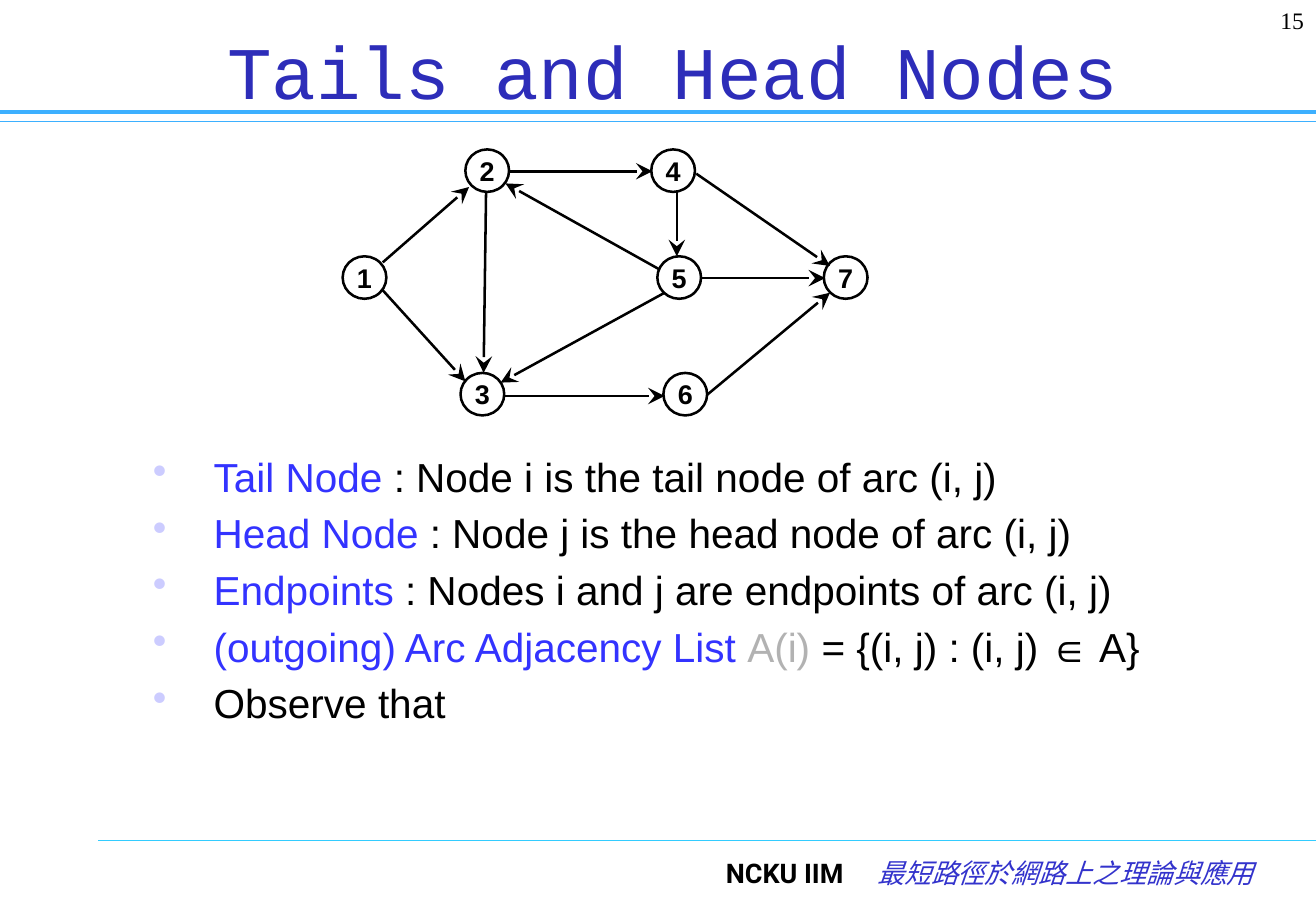
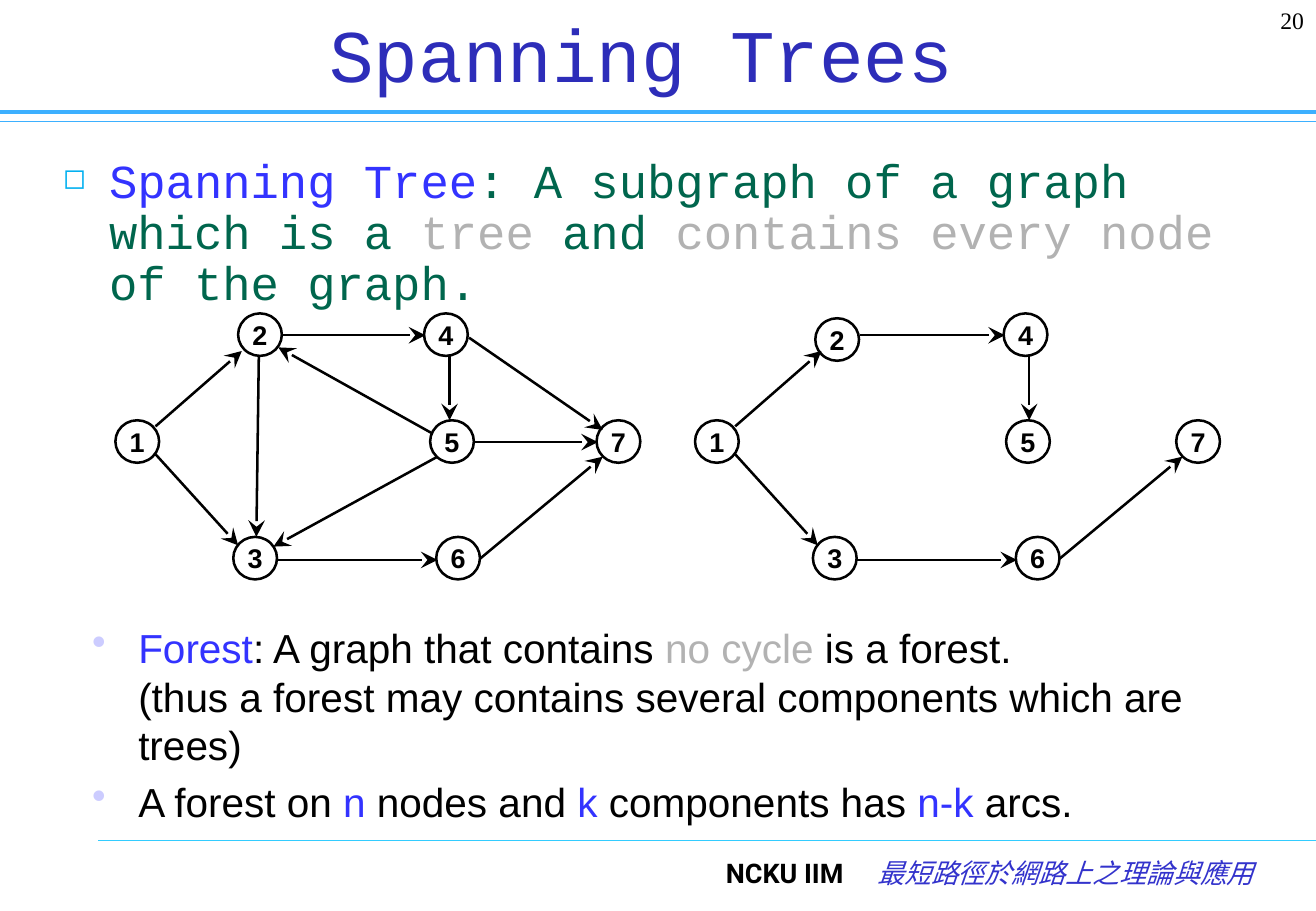
from lxml.etree import SubElement
from pptx import Presentation
from pptx.dml.color import RGBColor
from pptx.enum.shapes import MSO_CONNECTOR, MSO_SHAPE
from pptx.enum.text import MSO_ANCHOR, PP_ALIGN
from pptx.oxml.ns import qn
from pptx.util import Pt

PX = 9144  # EMU, 100 px to the inch
PAGE_WIDTH, PAGE_HEIGHT = 1083, 750
COLORS = {
    "title": "2D2DB9", "band": "3DB0FF", "footer_rule": "33CCFF",
    "footer": "3333CC", "term": "3333FF", "muted": "B2B2B2",
    "green": "00664D", "black": "000000", "white": "FFFFFF",
    "dot": "CCCCFF", "square": "00B0F0",
}
NODE_WIDTH, NODE_HEIGHT = 36, 35
# Top left corner of each node, relative to the graph
NODES = {1: (0, 88), 2: (101, 0), 3: (97, 184), 4: (254, 0),
         5: (259, 88), 6: (264, 184), 7: (396, 88)}
# Start and end point of each arc, relative to the graph
ARCS = {
    (1, 2): (33, 93, 104, 31), (1, 3): (33, 116, 101, 191),
    (2, 3): (118, 35, 116, 184), (2, 4): (136, 18, 255, 18),
    (3, 6): (133, 203, 265, 203), (6, 7): (300, 202, 401, 118),
    (5, 7): (294, 106, 397, 106), (4, 7): (291, 20, 401, 96),
    (4, 5): (275, 35, 275, 88), (5, 2): (261, 99, 134, 28),
    (5, 3): (265, 118, 130, 192),
}
TREE_ARCS = [(1, 2), (1, 3), (2, 4), (3, 6), (6, 7), (4, 5)]
TREE_NODES = {**NODES, 2: (99, 4), 5: (256, 88)}


def rgb(name):
    return RGBColor.from_string(COLORS[name])


def set_font(paragraph, name, size, color="black", bold=False, italic=False):
    font = paragraph.font
    font.name, font.size = name, Pt(size)
    font.bold, font.italic = bold, italic
    font.color.rgb = rgb(color)


def add_box(page, left, top, width, height):
    box = page.shapes.add_textbox(left * PX, top * PX, width * PX, height * PX)
    frame = box.text_frame
    frame.word_wrap = True
    frame.margin_left = frame.margin_right = 10 * PX
    frame.margin_top = frame.margin_bottom = 5 * PX
    return frame


def add_label(page, box, text, align, font, anchor=MSO_ANCHOR.TOP):
    """Place one line of text; font holds the arguments of set_font."""
    frame = add_box(page, *box)
    frame.vertical_anchor = anchor
    paragraph = frame.paragraphs[0]
    paragraph.text, paragraph.alignment = text, align
    set_font(paragraph, *font)


def add_line(shapes, start, end, color, width, arrow=False):
    line = shapes.add_connector(MSO_CONNECTOR.STRAIGHT,
                                *(value * PX for value in (*start, *end)))
    line.line.color.rgb = rgb(color)
    line.line.width = Pt(width)
    properties = line.element.spPr
    if arrow:
        SubElement(properties.find(qn("a:ln")), qn("a:tailEnd"),
                   type="stealth", w="lg", len="lg")
    SubElement(properties, qn("a:effectLst"))


def add_bullet(paragraph, char, color, indent, percent=100):
    properties = paragraph._p.get_or_add_pPr()
    properties.set("marL", str(indent * PX))
    properties.set("indent", str(-indent * PX))
    SubElement(SubElement(properties, qn("a:buClr")), qn("a:srgbClr"),
               val=COLORS[color])
    SubElement(properties, qn("a:buSzPct"), val=str(percent * 1000))
    SubElement(properties, qn("a:buChar"), char=char)


def add_spans(paragraph, spans):
    """Add (text, color) spans; a line feed in a text breaks the line."""
    for text, color in spans:
        for index, part in enumerate(text.split("\n")):
            if index:
                paragraph.add_line_break()
            span = paragraph.add_run()
            span.text = part
            span.font.color.rgb = rgb(color)


def add_bullet_list(page, box, items, indent):
    frame = add_box(page, *box)
    for index, spans in enumerate(items):
        paragraph = frame.add_paragraph() if index else frame.paragraphs[0]
        add_bullet(paragraph, "•", "dot", indent)
        if index:
            paragraph.space_before = Pt(4.8)
        set_font(paragraph, "Arial", 24)
        add_spans(paragraph, spans)


def add_definition(page, box, spans):
    paragraph = add_box(page, *box).paragraphs[0]
    add_bullet(paragraph, "◻", "square", 38, 60)
    paragraph.line_spacing = 0.9
    set_font(paragraph, "Courier New", 28, "green")
    add_spans(paragraph, spans)


def add_graph(page, left, top, nodes=NODES, arcs=tuple(ARCS)):
    shapes = page.shapes.add_group_shape().shapes
    for number, (x, y) in nodes.items():
        node = shapes.add_shape(MSO_SHAPE.OVAL, (left + x) * PX, (top + y) * PX,
                                NODE_WIDTH * PX, NODE_HEIGHT * PX)
        node.shadow.inherit = False
        node.fill.solid()
        node.fill.fore_color.rgb = rgb("white")
        node.line.color.rgb = rgb("black")
        node.line.width = Pt(1.5)
        frame = node.text_frame
        frame.word_wrap = False
        frame.margin_left = frame.margin_right = 0
        frame.margin_top = frame.margin_bottom = 0
        frame.vertical_anchor = MSO_ANCHOR.MIDDLE
        paragraph = frame.paragraphs[0]
        paragraph.text, paragraph.alignment = str(number), PP_ALIGN.CENTER
        set_font(paragraph, "Arial", 16, bold=True)
    for arc in arcs:
        x1, y1, x2, y2 = ARCS[arc]
        add_line(shapes, (left + x1, top + y1), (left + x2, top + y2),
                 "black", 1.5, arrow=True)


def add_page(deck, number, title, title_box):
    """Add a page with its title, bands, footer and page number."""
    page = deck.slides.add_slide(deck.slide_layouts[6])
    for left, y, color, width in ((0, 100, "band", 0.75), (0, 92, "band", 2.5),
                                  (81, 692, "footer_rule", 0.75)):
        add_line(page.shapes, (left, y), (PAGE_WIDTH, y), color, width)
    add_label(page, (500, 700, 204, 50), "NCKU IIM", PP_ALIGN.RIGHT,
              ("Roboto", 16, "black", True))
    add_label(page, (704, 700, 338, 50), "最短路徑於網路上之理論與應用",
              PP_ALIGN.RIGHT, ("Courier New", 16, "footer", False, True))
    add_label(page, (993, 0, 90, 50), str(number), PP_ALIGN.RIGHT,
              ("Times New Roman", 14))
    add_label(page, title_box, title, PP_ALIGN.CENTER,
              ("Courier New", 44, "title"), MSO_ANCHOR.MIDDLE)
    return page


def add_head_tail_page(deck):
    page = add_page(deck, 15, "Tails and Head Nodes", (116, 23, 876, 69))
    add_graph(page, 282, 123)
    add_bullet_list(page, (116, 367, 862, 323), [
        [("Tail Node", "term"),
         (" : Node i is the tail node of arc (i, j)", "black")],
        [("Head Node", "term"),
         (" : Node j is the head node of arc (i, j)", "black")],
        [("Endpoints", "term"),
         (" : Nodes i and j are endpoints of arc (i, j)", "black")],
        [("(outgoing) Arc Adjacency List ", "term"), ("A(i)", "muted"),
         (" = {(i, j) : (i, j) ∈ A}", "black")],
        [("Observe that", "black")],
    ], indent=50)


def add_spanning_tree_page(deck):
    page = add_page(deck, 20, "Spanning Trees", (29, 0, 998, 87))
    add_definition(page, (42, 125, 1006, 133), [
        ("Spanning Tree", "term"),
        (": A subgraph of a graph which is a ", "green"), ("tree", "muted"),
        (" and ", "green"), ("contains every node", "muted"),
        (" of the graph.", "green"),
    ])
    add_graph(page, 95, 258)
    add_graph(page, 572, 258, TREE_NODES, TREE_ARCS)
    add_bullet_list(page, (66, 508, 1006, 183), [
        [("Forest", "term"), (": A graph that contains ", "black"),
         ("no cycle", "muted"),
         (" is a forest.\n(thus a forest may contains several components"
          " which are trees)", "black")],
        [("A forest on ", "black"), ("n", "term"), (" nodes and ", "black"),
         ("k", "term"), (" components has ", "black"), ("n-k", "term"),
         (" arcs.", "black")],
    ], indent=38)


def main():
    deck = Presentation()
    deck.slide_width, deck.slide_height = PAGE_WIDTH * PX, PAGE_HEIGHT * PX
    add_head_tail_page(deck)
    add_spanning_tree_page(deck)
    deck.save("out.pptx")


if __name__ == "__main__":
    main()
